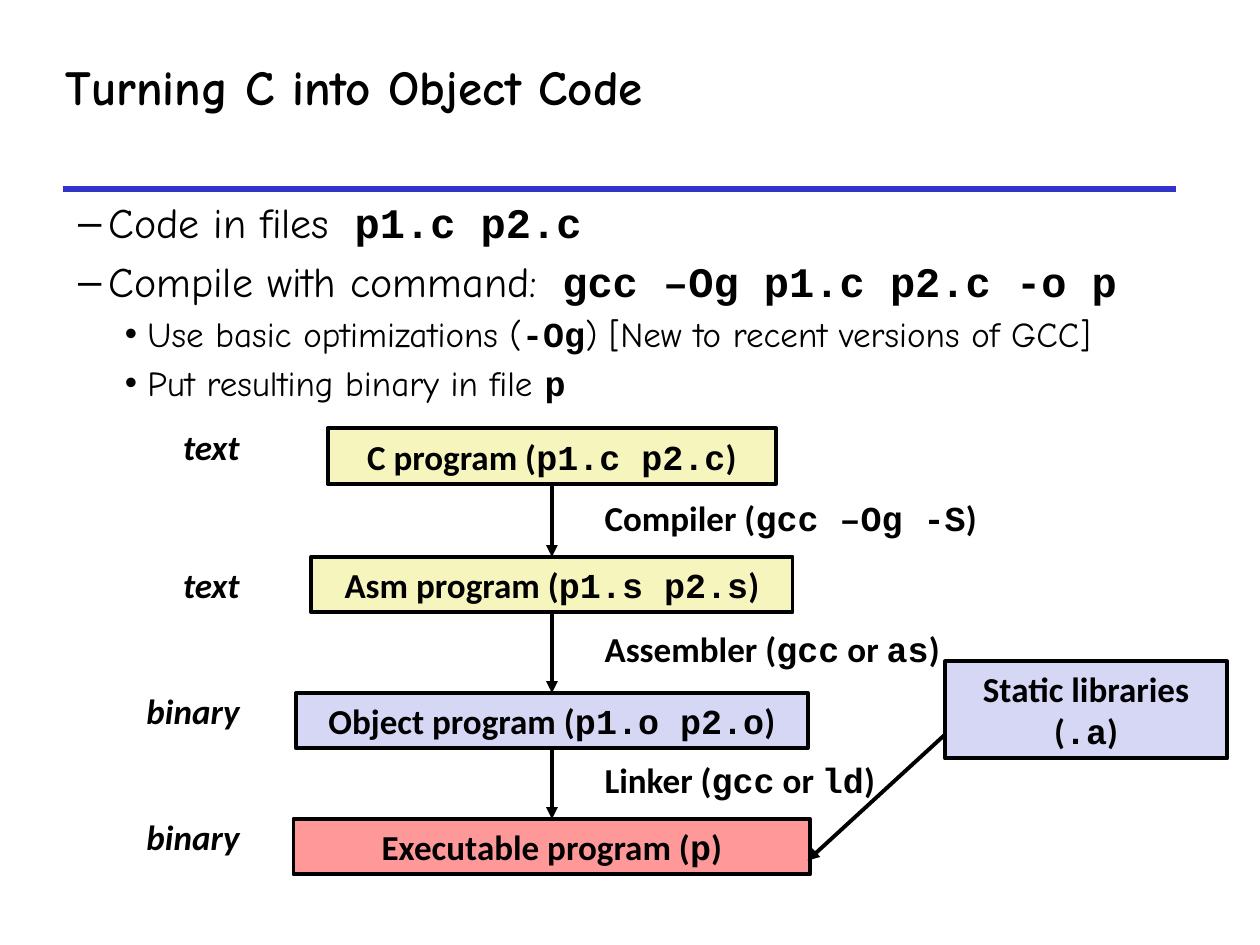
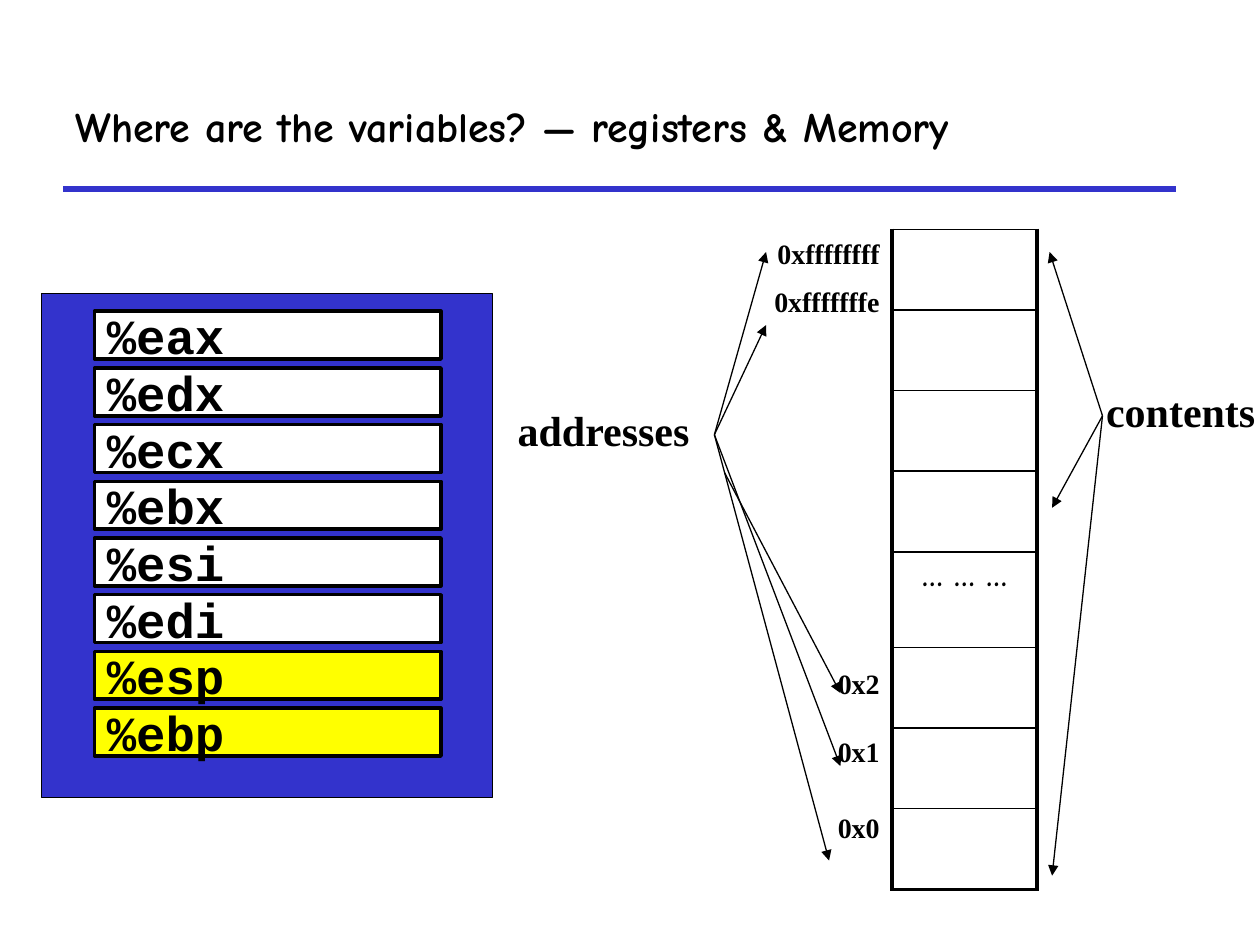
"""Build two slides on object code and on registers and memory."""
from dataclasses import dataclass
from typing import Any, Optional

import pptx
import pptx.dml.color
import pptx.enum.shapes
import pptx.enum.text
import pptx.oxml
import pptx.oxml.ns
import pptx.util
from lxml import etree

RGB = pptx.dml.color.RGBColor
ALIGN = pptx.enum.text.PP_ALIGN
ANCHOR = pptx.enum.text.MSO_ANCHOR
qn = pptx.oxml.ns.qn

BLACK = RGB(0x00, 0x00, 0x00)
WHITE = RGB(0xFF, 0xFF, 0xFF)
BLUE = RGB(0x33, 0x33, 0xCC)
YELLOW = RGB(0xFF, 0xFF, 0x00)
CREAM = RGB(0xF6, 0xF5, 0xBD)
LAVENDER = RGB(0xD6, 0xD6, 0xF5)
PINK = RGB(0xFF, 0x99, 0x99)

COMIC, CALIBRI, COURIER, TIMES = "Comic Neue", "Calibri", "Courier New", "Times New Roman"
EMU_PER_PX = 9144


@dataclass(frozen=True)
class Style:
    font: str
    size: int
    bold: bool = True
    italic: bool = False
    align: Any = ALIGN.LEFT


@dataclass(frozen=True)
class Box:
    x: int
    y: int
    w: int
    h: int
    text: str = ""
    fill: Optional[RGB] = None


TAG = Style(CALIBRI, 20, italic=True, align=ALIGN.RIGHT)
STEP = Style(CALIBRI, 20)
STAGE = Style(CALIBRI, 20, align=ALIGN.CENTER)
REGISTER = Style(COURIER, 28)
ADDRESS = Style(TIMES, 16, align=ALIGN.RIGHT)
CAPTION = Style(TIMES, 24)
CELL = Style(COMIC, 18, align=ALIGN.CENTER)


def px(n: int) -> int:
    """Turn px into EMU."""
    return pptx.util.Emu(n * EMU_PER_PX)


def write(p: Any, text: str, style: Style) -> None:
    """Fill a paragraph; parts between backticks are bold code."""
    p.alignment = style.align
    for i, part in enumerate(text.split("`")):
        if not part:
            continue
        r = p.add_run()
        r.text = part
        r.font.name = COURIER if i % 2 else style.font
        r.font.size = pptx.util.Pt(style.size)
        r.font.bold = style.bold or i % 2 == 1
        r.font.italic = style.italic
        r.font.color.rgb = BLACK


def place(sp: Any, box: Box) -> None:
    """Move and size a shape."""
    sp.left, sp.top, sp.width, sp.height = map(px, (box.x, box.y, box.w, box.h))


def add_text(shapes: Any, box: Box, style: Style) -> Any:
    """Add a wrapping text box and return its frame."""
    sp = shapes.add_textbox(px(box.x), px(box.y), px(box.w), px(box.h))
    tf = sp.text_frame
    tf.word_wrap = True
    write(tf.paragraphs[0], box.text, style)
    return tf


def add_rect(shapes: Any, box: Box, style: Style, width: float) -> Any:
    """Add a filled, outlined rectangle with text."""
    sp = shapes.add_shape(pptx.enum.shapes.MSO_SHAPE.RECTANGLE,
                          px(box.x), px(box.y), px(box.w), px(box.h))
    sp.shadow.inherit = False
    sp.fill.solid()
    sp.fill.fore_color.rgb = box.fill
    sp.line.color.rgb = BLACK
    sp.line.width = pptx.util.Pt(width)
    tf = sp.text_frame
    tf.word_wrap = True
    tf.vertical_anchor = ANCHOR.MIDDLE
    if box.text:
        write(tf.paragraphs[0], box.text, style)
    return sp


def add_line(shapes: Any, start: tuple[int, int], end: tuple[int, int],
             width: float, color: RGB = BLACK, arrow: bool = True) -> Any:
    """Add a straight line, with an arrowhead at its end if wanted."""
    cn = shapes.add_connector(pptx.enum.shapes.MSO_CONNECTOR.STRAIGHT,
                              px(start[0]), px(start[1]), px(end[0]), px(end[1]))
    cn.line.color.rgb = color
    cn.line.width = pptx.util.Pt(width)
    spPr = cn._element.spPr
    if arrow:
        etree.SubElement(spPr.find(qn("a:ln")), qn("a:tailEnd"), type="triangle")
    etree.SubElement(spPr, qn("a:effectLst"))
    return cn


def add_slide(prs: Any, layout: int, title: Box, size: int) -> Any:
    """Add a slide with its title and the blue rule."""
    s = prs.slides.add_slide(prs.slide_layouts[layout])
    add_line(s.shapes, (50, 150), (933, 150), 3, BLUE, arrow=False)
    sp = s.shapes.title
    place(sp, title)
    tf = sp.text_frame
    tf.auto_size = pptx.enum.text.MSO_AUTO_SIZE.NONE
    tf.vertical_anchor = ANCHOR.MIDDLE
    write(tf.paragraphs[0], title.text, Style(COMIC, size))
    return s


def set_borders(cell: Any, **widths: float) -> None:
    """Draw black borders, given in points for each side."""
    tcPr = cell._tc.get_or_add_tcPr()
    for side, width in widths.items():
        ln = etree.SubElement(tcPr, qn(f"a:ln{side}"), w=str(pptx.util.Pt(width)))
        fill = etree.SubElement(ln, qn("a:solidFill"))
        etree.SubElement(fill, qn("a:srgbClr"), val=str(BLACK))


def add_bullets(s: Any) -> None:
    """Fill the body with the compile commands."""
    body = s.placeholders[1]
    place(body, Box(15, 151, 985, 160))
    tf = body.text_frame
    tf.auto_size = pptx.enum.text.MSO_AUTO_SIZE.NONE
    indents = {1: (61, -24, 24), 2: (92, -18, 20)}
    bullets = [
        (1, "Code in files` p1.c p2.c`"),
        (1, "Compile with command:` gcc –Og p1.c p2.c -o p`"),
        (2, "Use basic optimizations (`-Og`) [New to recent versions of GCC]"),
        (2, "Put resulting binary in file `p`"),
    ]
    for i, (level, text) in enumerate(bullets):
        p = tf.add_paragraph() if i else tf.paragraphs[0]
        p.level = level
        margin, indent, size = indents[level]
        pPr = p._p.get_or_add_pPr()
        pPr.set("marL", str(px(margin)))
        pPr.set("indent", str(px(indent)))
        if i == 0:
            p.space_before = pptx.util.Pt(0)
        write(p, text, Style(COMIC, size, bold=False))


def build_object_code(prs: Any) -> None:
    """Slide on the compile, assemble and link chain."""
    s = add_slide(prs, 1, Box(42, 37, 765, 63, "Turning C into Object Code"), 28)
    add_bullets(s)
    for y, text in ((333, "text"), (442, "text"), (542, "binary"), (642, "binary")):
        add_text(s.shapes, Box(91, y, 109, 50, text), TAG)

    center = 438
    stages = [
        (340, 356, "C program (`p1.c p2.c`)", CREAM),
        (442, 382, "Asm program (`p1.s p2.s`)", CREAM),
        (550, 406, "Object program (`p1.o p2.o`)", LAVENDER),
        (650, 410, "Executable program (`p`)", PINK),
    ]
    rects = [add_rect(s.shapes, Box(center - w // 2, y, w, 44, text, fill), STAGE, 2.25)
             for y, w, text, fill in stages]
    for upper, lower in zip(rects, rects[1:]):
        cn = add_line(s.shapes, (center, 0), (center, 0), 2.25)
        cn.begin_connect(upper, 2)
        cn.end_connect(lower, 0)

    steps = ["Compiler (`gcc –Og -S`)", "Assembler (`gcc` or `as`)", "Linker (`gcc` or `ld`)"]
    for i, text in enumerate(steps):
        add_text(s.shapes, Box(470, 389 + 104 * i, 333, 44, text), STEP)
    add_rect(s.shapes, Box(750, 525, 224, 77, "Static libraries (`.a`)", LAVENDER), STAGE, 2.25)
    add_line(s.shapes, (750, 583), (641, 683), 2.25)


def add_registers(s: Any) -> None:
    """Draw the register file as one group."""
    group = s.shapes.add_group_shape().shapes
    add_rect(group, Box(33, 233, 358, 400, fill=BLUE), REGISTER, 0.75)
    for i, name in enumerate("eax edx ecx ebx esi edi esp ebp".split()):
        fill = YELLOW if name in ("esp", "ebp") else WHITE
        add_rect(group, Box(75, 247 + 45 * i, 275, 38, f"%{name}", fill), REGISTER, 2)


def add_memory(s: Any) -> None:
    """Draw the memory column as a table."""
    heights = [64] * 4 + [76] + [64] * 3
    table = s.shapes.add_table(len(heights), 1, px(708), px(182),
                               px(115), px(sum(heights))).table
    table.first_row = table.horz_banding = False
    for i, height in enumerate(heights):
        table.rows[i].height = px(height)
        cell = table.cell(i, 0)
        bottom = 2.25 if i == len(heights) - 1 else 1
        set_borders(cell, L=2.25, R=2.25, T=1, B=bottom)
        cell.fill.solid()
        cell.fill.fore_color.rgb = WHITE
    write(table.cell(4, 0).text_frame.paragraphs[0], "… … …", CELL)


def build_memory(prs: Any) -> None:
    """Slide on registers and memory."""
    title = Box(50, 50, 883, 100, "Where are the variables? — registers & Memory")
    s = add_slide(prs, 5, title, 24)
    add_registers(s)
    add_memory(s)

    tf = add_text(s.shapes, Box(583, 183, 125, 539, "0xffffffff"), ADDRESS)
    for gap, address in ((8, "0xfffffffe"), (199, "0x2"), (20, "0x1"), (24, "0x0")):
        p = tf.add_paragraph()
        p.space_before = pptx.util.Pt(gap)
        write(p, address, ADDRESS)
    add_text(s.shapes, Box(401, 316, 183, 51, "addresses"), CAPTION)
    add_text(s.shapes, Box(868, 301, 132, 51, "contents"), CAPTION).margin_right = 0

    contents, addresses = (875, 330), (567, 345)
    fans = [
        [(contents, (835, 403)), (contents, (835, 695)), (contents, (833, 200))],
        [(addresses, (608, 200)), (addresses, (608, 258)), ((575, 375), (667, 550)),
         (addresses, (658, 683)), (addresses, (667, 608))],
    ]
    for fan in fans:
        group = s.shapes.add_group_shape().shapes
        for start, end in fan:
            add_line(group, start, end, 0.75)


def main() -> None:
    """Build and save the slides."""
    prs = pptx.Presentation()
    prs.slide_width, prs.slide_height = px(1000), px(750)
    build_object_code(prs)
    build_memory(prs)
    prs.save("out.pptx")


if __name__ == "__main__":
    main()
